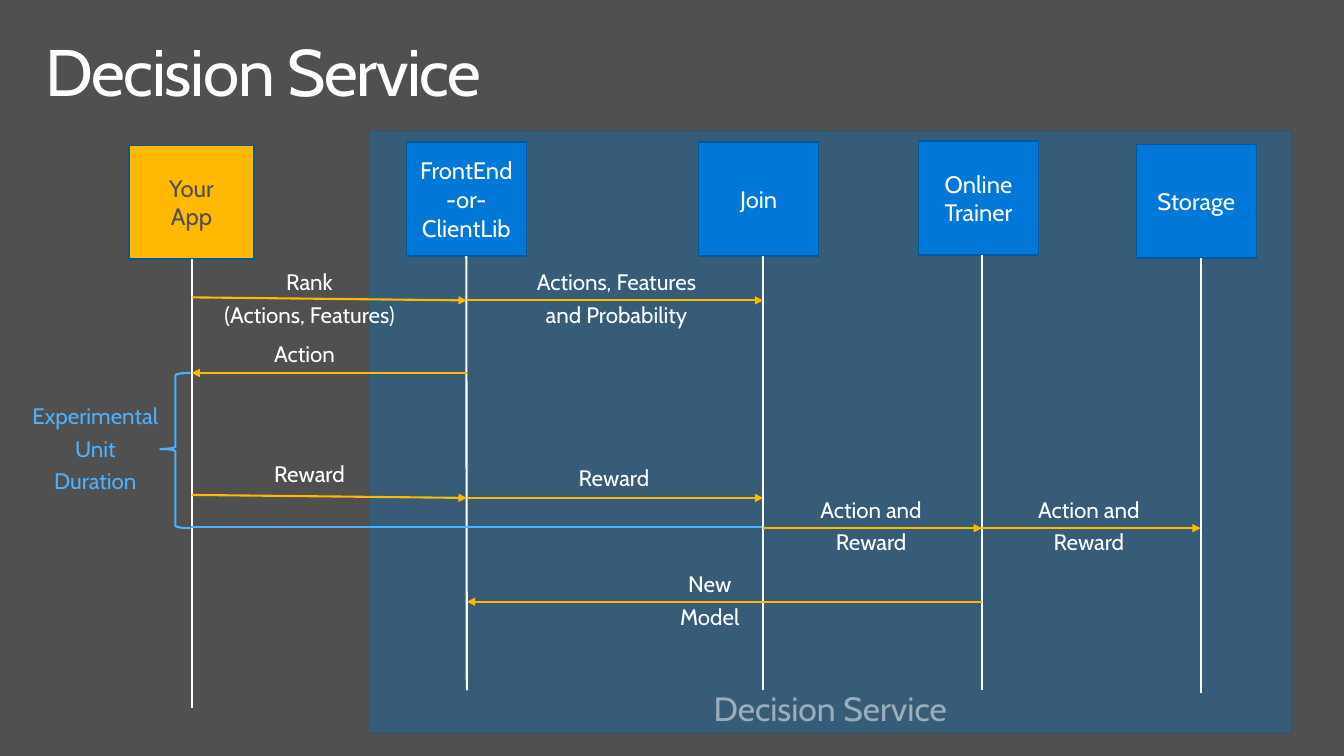
import pptx
import pptx.dml.color
import pptx.enum.shapes
import pptx.enum.text
import pptx.oxml
import pptx.oxml.ns
import pptx.util

Inches = pptx.util.Inches
Pt = pptx.util.Pt
SHAPES = pptx.enum.shapes.MSO_SHAPE
ALIGN = pptx.enum.text.PP_ALIGN
ANCHOR = pptx.enum.text.MSO_ANCHOR
AUTO_SIZE = pptx.enum.text.MSO_AUTO_SIZE

FONT = "Cabin"
WHITE, GREY, BLUE, NAVY = "FFFFFF", "505050", "0078D7", "00599F"
AMBER, SKY = "FFB900", "4EB1FF"

LABEL_FRAME = {
    "margin_left": Inches(0.2), "margin_right": Inches(0.2),
    "margin_top": Inches(0.16), "margin_bottom": Inches(0.16),
    "word_wrap": False, "auto_size": AUTO_SIZE.SHAPE_TO_FIT_TEXT,
}
LABEL_PARAGRAPH = {"alignment": ALIGN.CENTER, "line_spacing": 0.9,
                   "space_after": Pt(6)}
TITLE_FRAME = {
    "margin_left": Inches(0.16), "margin_right": Inches(0.16),
    "margin_top": Inches(0.1), "margin_bottom": Inches(0.1),
    "word_wrap": True, "auto_size": AUTO_SIZE.NONE,
    "vertical_anchor": ANCHOR.TOP,
}

# Name, fill, text colour, box (left, top, width), lifeline x and end
PARTICIPANTS = [
    ("Your\nApp", AMBER, GREY, (0, 0.04, 1.24), 0.62, 5.62),
    ("FrontEnd\n-or-\nClientLib", BLUE, WHITE, (2.75, 0.01, 1.19), 3.35, 5.45),
    ("Join", BLUE, WHITE, (5.65, 0.01, 1.19), 6.29, 5.45),
    ("Online Trainer", BLUE, WHITE, (7.83, 0, 1.19), 8.46, 5.45),
    ("Storage", BLUE, WHITE, (9.99, 0.03, 1.19), 10.63, 5.48),
]
APP, FRONT_END, JOIN, TRAINER, STORAGE = [p[4] for p in PARTICIPANTS]

# Text, sender, receiver, start y, end y, label (left, top, width)
MESSAGES = [
    ("Rank\n(Actions, Features)", APP, FRONT_END, 1.55, 1.58, (0.71, 1.13, 2.16)),
    ("Actions, Features\nand Probability", FRONT_END, JOIN, 1.58, 1.58,
     (3.82, 1.13, 2.03)),
    ("Action", FRONT_END, APP, 2.3, 2.3, (1.23, 1.88, 1.02)),
    ("Reward", APP, FRONT_END, 3.51, 3.54, (1.23, 3.07, 1.12)),
    ("Reward", FRONT_END, JOIN, 3.54, 3.54, (4.25, 3.11, 1.12)),
    ("Action and\nReward", JOIN, TRAINER, 3.84, 3.84, (6.63, 3.39, 1.46)),
    ("Action and\nReward", TRAINER, STORAGE, 3.84, 3.84, (8.79, 3.39, 1.46)),
    ("New\nModel", TRAINER, FRONT_END, 4.57, 4.57, (5.03, 4.13, 1.46)),
]


def rgb(colour):
    return pptx.dml.color.RGBColor.from_string(colour)


def apply_format(target, values):
    for name, value in values.items():
        setattr(target, name, value)


def add_child(parent, tag, **attributes):
    child = pptx.oxml.parse_xml(f"<a:{tag} {pptx.oxml.ns.nsdecls('a')}/>")
    for name, value in attributes.items():
        child.set(name, value)
    parent.append(child)


def set_alpha(element, percent):
    for colour in element.iter(pptx.oxml.ns.qn("a:srgbClr")):
        add_child(colour, "alpha", val=str(percent * 1000))


def write(frame, text, size, colour, paragraph_format):
    frame.text = text
    for paragraph in frame.paragraphs:
        apply_format(paragraph, paragraph_format)
        for run in paragraph.runs:
            apply_format(run.font, {"name": FONT, "size": Pt(size)})
            run.font.color.rgb = rgb(colour)


def add_block(slide, box, fill):
    block = slide.shapes.add_shape(SHAPES.RECTANGLE, *map(Inches, box))
    block.shadow.inherit = False
    block.fill.solid()
    block.fill.fore_color.rgb = rgb(fill)
    block.line.color.rgb = rgb(NAVY)
    block.line.width = Pt(0.85)
    return block


def add_line(slide, start, end, colour, arrow=False):
    line = slide.shapes.add_connector(
        pptx.enum.shapes.MSO_CONNECTOR.STRAIGHT, *map(Inches, (*start, *end)))
    line.line.color.rgb = rgb(colour)
    line.line.width = Pt(1.5)
    if arrow:
        add_child(line.line._get_or_add_ln(), "tailEnd", type="triangle")
    add_child(line._element.spPr, "effectLst")
    return line


def add_label(slide, left, top, width, text, colour):
    height = 0.57 + 0.325 * text.count("\n")
    label = slide.shapes.add_textbox(*map(Inches, (left, top, width, height)))
    write(label.text_frame, text, 16, colour, LABEL_PARAGRAPH)
    apply_format(label.text_frame, LABEL_FRAME)


def add_title(slide, box):
    title = slide.shapes.title
    apply_format(title, dict(zip(("left", "top", "width", "height"),
                                 map(Inches, box))))
    write(title.text_frame, "Decision Service", 47, WHITE,
          {"alignment": ALIGN.LEFT, "line_spacing": 0.9})
    apply_format(title.text_frame, TITLE_FRAME)
    title.text_frame.paragraphs[0].runs[0].font._element.set("spc", "-100")


def add_service_panel(slide, box):
    panel = add_block(slide, box, BLUE)
    write(panel.text_frame, "Decision Service", 24, WHITE,
          {"alignment": ALIGN.CENTER})
    panel.text_frame.vertical_anchor = ANCHOR.BOTTOM
    set_alpha(panel._element.spPr, 30)
    set_alpha(panel.text_frame._txBody, 50)


def add_participants(slide, box):
    left, top = box[:2]
    for name, fill, colour, (x, y, width), lifeline_x, end in PARTICIPANTS:
        block = add_block(slide, (left + x, top + y, width, 1.13), fill)
        write(block.text_frame, name, 17, colour, {"alignment": ALIGN.CENTER})
        apply_format(block.text_frame, {"word_wrap": True,
                                        "vertical_anchor": ANCHOR.MIDDLE})
        lifeline = add_line(slide, (left + lifeline_x, top + y + 1.13),
                            (left + lifeline_x, top + end), WHITE)
        # Lifelines that start at the middle of the box are joined to it
        if abs(x + width / 2 - lifeline_x) < 0.01:
            lifeline.begin_connect(block, 2)


def add_messages(slide, box):
    left, top = box[:2]
    for text, sender, receiver, start, end, (x, y, width) in MESSAGES:
        add_line(slide, (left + sender, top + start),
                 (left + receiver, top + end), AMBER, arrow=True)
        add_label(slide, left + x, top + y, width, text, WHITE)


def add_duration(slide, box):
    left, top, width, height = box
    brace = slide.shapes.add_shape(SHAPES.LEFT_BRACE, *map(Inches, box))
    brace.shadow.inherit = False
    brace.fill.background()
    brace.line.color.rgb = rgb(SKY)
    brace.line.width = Pt(1.5)
    brace.adjustments[0], brace.adjustments[1] = 0.08, 0.49
    add_label(slide, left - 1.47, top + 0.16, 1.65,
              "Experimental\nUnit\nDuration", SKY)
    bottom, right = top + height - 0.01, left + width
    add_line(slide, (right, bottom), (right + JOIN - APP, bottom), SKY)


def main():
    deck = pptx.Presentation()
    apply_format(deck, {"slide_width": Inches(13.33),
                        "slide_height": Inches(7.5)})
    slide = deck.slides.add_slide(deck.slide_layouts[5])
    slide.background.fill.solid()
    slide.background.fill.fore_color.rgb = rgb(GREY)

    diagram = (1.28, 1.4, 11.18, 5.62)
    add_service_panel(slide, (3.66, 1.3, 9.15, 5.97))
    add_title(slide, (0.29, 0.29, 12.75, 0.98))
    add_participants(slide, diagram)
    add_messages(slide, diagram)
    add_duration(slide, (1.59, 3.7, 0.3, 1.54))
    deck.save("out.pptx")


if __name__ == "__main__":
    main()
